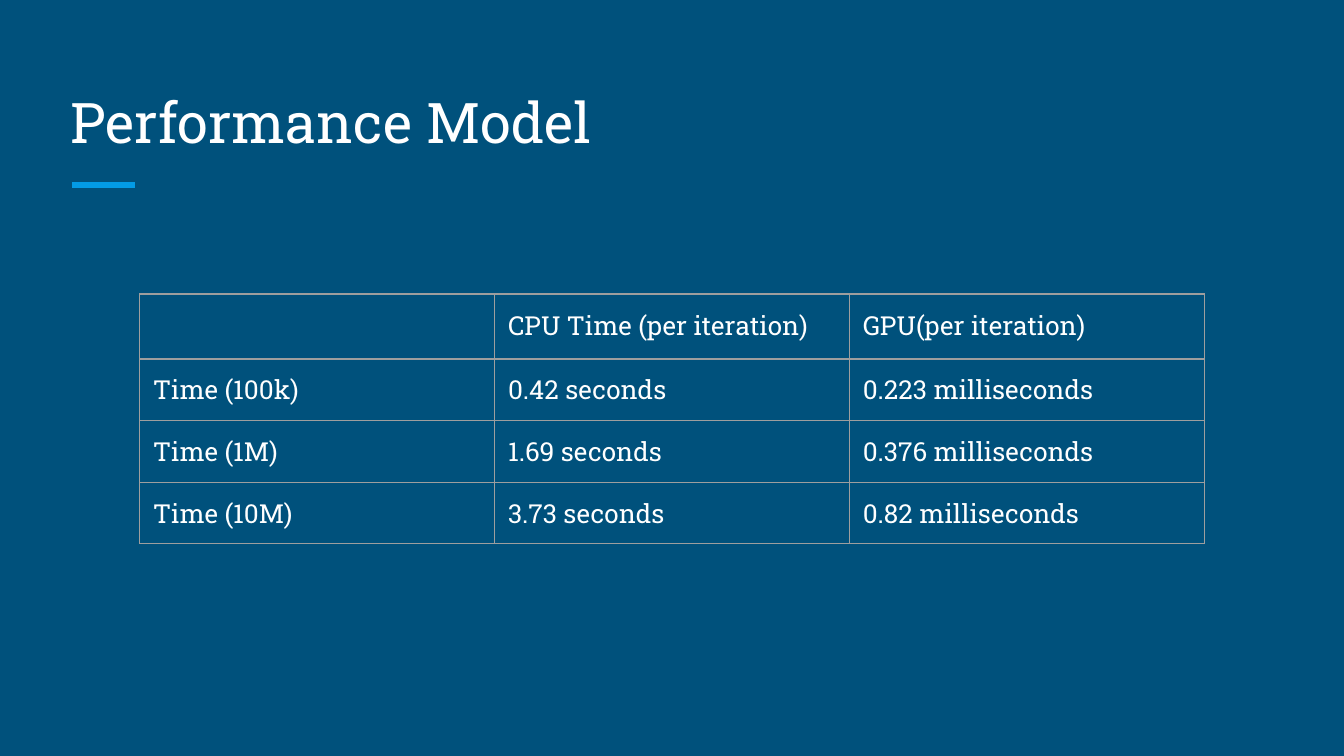
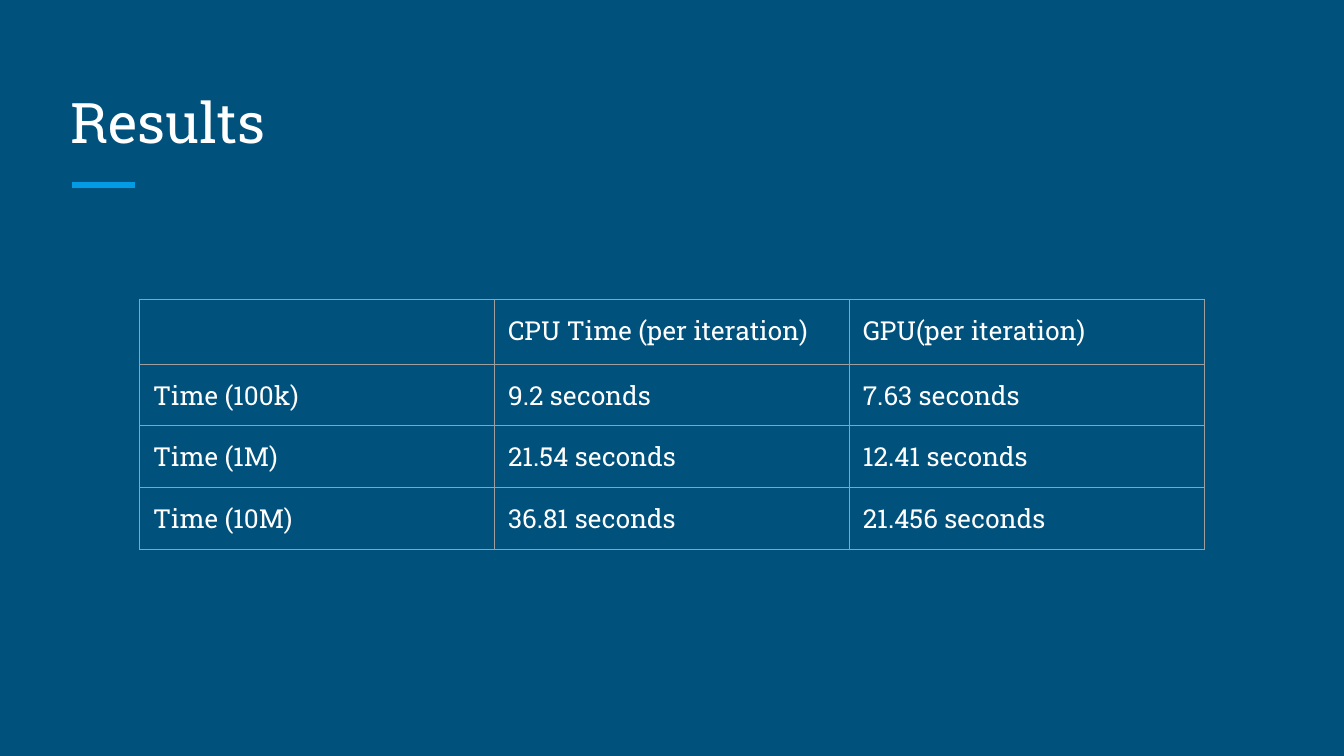
from dataclasses import dataclass

from lxml.etree import SubElement as Sub
from pptx import Presentation
from pptx.dml.color import RGBColor as Rgb
from pptx.enum.shapes import MSO_CONNECTOR as Link
from pptx.enum.text import MSO_ANCHOR as Anchor, MSO_AUTO_SIZE as Auto, PP_ALIGN as Align
from pptx.oxml.ns import qn
from pptx.util import Inches, Pt


@dataclass(frozen=True)
class Theme:
    back: str = "00517C"
    ink: str = "FFFFFF"
    bar: str = "039BE5"
    rule: str = "9E9E9E"
    font: str = "Roboto Slab"
    head: int = 30
    body: int = 14
    thick: int = 3
    thin: float = 0.75


THEME = Theme()
WIDE = Inches(10)
HIGH = WIDE * 9 // 16
PAD = {f"margin_{side}": Inches(0.1) for side in ("left", "right", "top", "bottom")}

# Boxes are left, top, width, height in percent of the slide
TITLE = (4.25, 8.9, 91.5, 13.35)
BAR = (5.36, 24.5, 4.68, 0)
GRID = (10.4, 38.9, 79.2, 33)
FIRST = 0.26  # share of the table height taken by the header row

HEADS = ("", "CPU Time (per iteration)", "GPU(per iteration)")
SIZES = ("Time (100k)", "Time (1M)", "Time (10M)")
SLIDES = (
    ("Performance Model", 0,
     ("0.42 seconds", "1.69 seconds", "3.73 seconds"),
     ("0.223 milliseconds", "0.376 milliseconds", "0.82 milliseconds")),
    ("Results", 0.7,
     ("9.2 seconds", "21.54 seconds", "36.81 seconds"),
     ("7.63 seconds", "12.41 seconds", "21.456 seconds")),
)


def place(box):
    x, y, w, h = box
    return [int(part * full / 100)
            for part, full in ((x, WIDE), (y, HIGH), (w, WIDE), (h, HIGH))]


def put(item, **values):
    for name, value in values.items():
        setattr(item, name, value)


def style(par, size):
    put(par, alignment=Align.LEFT)
    for run in par.runs:
        put(run.font, name=THEME.font, size=Pt(size), bold=False)
        run.font.color.rgb = Rgb.from_string(THEME.ink)


# Title with its accent bar
def add_title(slide, text, box, bar):
    title = slide.shapes.title
    put(title, **dict(zip(("left", "top", "width", "height"), place(box))))
    frame = title.text_frame
    frame.text = text
    put(frame, vertical_anchor=Anchor.BOTTOM, word_wrap=True, auto_size=Auto.NONE, **PAD)
    style(frame.paragraphs[0], THEME.head)

    x, y, w, h = place(bar)
    line = slide.shapes.add_connector(Link.STRAIGHT, x, y, x + w, y + h)
    line.line.color.rgb = Rgb.from_string(THEME.bar)
    line.line.width = Pt(THEME.thick)
    Sub(line._element.spPr, qn("a:effectLst"))


# One table cell with plain borders and no fill
def fill_cell(cell, text):
    cell.text = text
    put(cell, vertical_anchor=Anchor.TOP, **PAD)
    par = cell.text_frame.paragraphs[0]
    style(par, THEME.body)
    if not text:
        par._p.get_or_add_endParaRPr().set("sz", str(THEME.body * 100))
    props = cell._tc.get_or_add_tcPr()
    for edge in "LRTB":
        line = Sub(props, qn(f"a:ln{edge}"), w=str(Pt(THEME.thin)))
        Sub(Sub(line, qn("a:solidFill")), qn("a:srgbClr"), val=THEME.rule)
    cell.fill.background()


# Table of run times
def add_grid(slide, rows, box):
    x, y, w, h = place(box)
    table = slide.shapes.add_table(len(rows), len(rows[0]), x, y, w, h).table
    put(table, first_row=False, horz_banding=False)
    for r, row in enumerate(rows):
        share = (1 - FIRST) / (len(rows) - 1) if r else FIRST
        table.rows[r].height = int(h * share)
        for c, text in enumerate(row):
            fill_cell(table.cell(r, c), text)


def add_slide(deck, title, drop, cpu, gpu):
    slide = deck.slides.add_slide(deck.slide_layouts.get_by_name("Title Only"))
    add_title(slide, title, TITLE, BAR)
    x, y, w, h = GRID
    add_grid(slide, [HEADS, *zip(SIZES, cpu, gpu)], (x, y + drop, w, h))


def main():
    deck = Presentation()
    put(deck, slide_width=WIDE, slide_height=HIGH)
    back = deck.slide_master.background.fill
    back.solid()
    back.fore_color.rgb = Rgb.from_string(THEME.back)
    for page in SLIDES:
        add_slide(deck, *page)
    deck.save("out.pptx")


if __name__ == "__main__":
    main()
